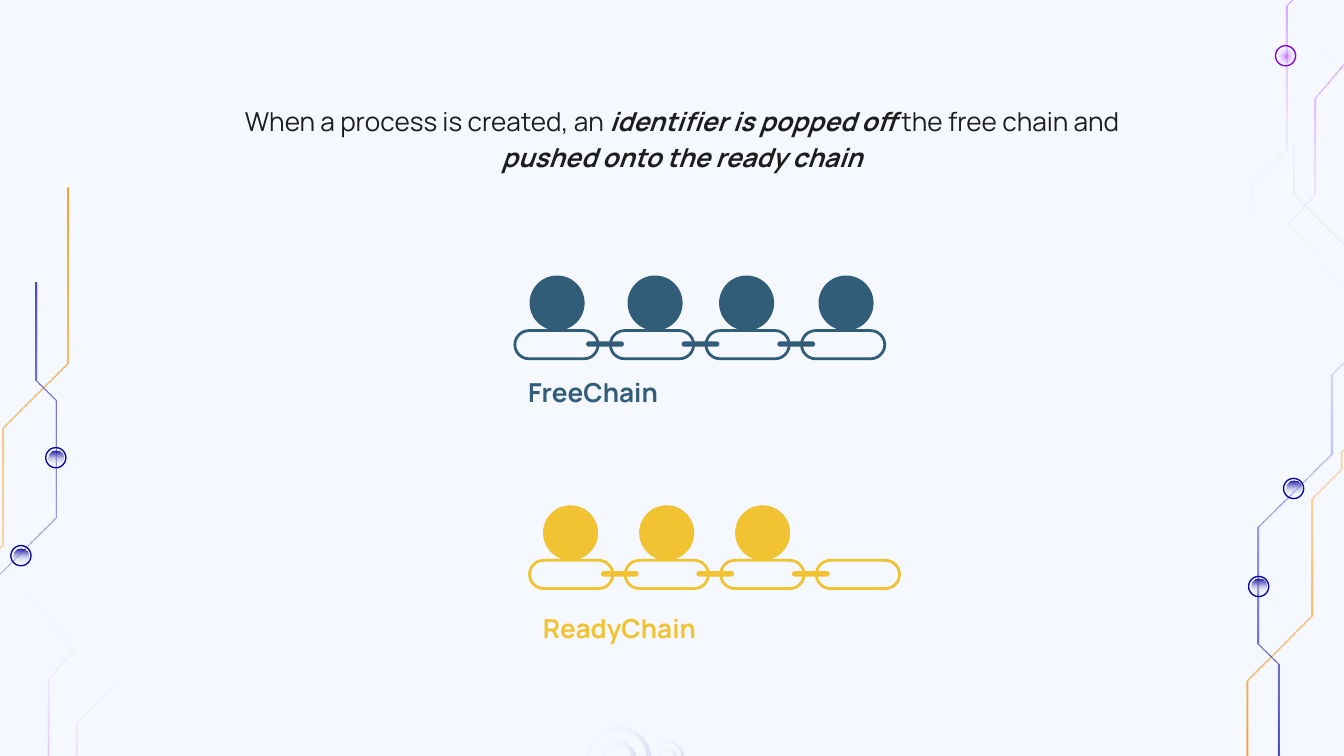
from dataclasses import dataclass
from math import cos, radians, sin

from lxml import etree
from pptx import Presentation
from pptx.dml.color import RGBColor
from pptx.enum.shapes import MSO_SHAPE
from pptx.enum.text import MSO_ANCHOR, MSO_AUTO_SIZE, PP_ALIGN
from pptx.oxml.ns import qn
from pptx.util import Pt

OVAL, PILL, DONUT = MSO_SHAPE.OVAL, MSO_SHAPE.ROUNDED_RECTANGLE, MSO_SHAPE.DONUT
TOP, FIXED_SIZE = MSO_ANCHOR.TOP, MSO_AUTO_SIZE.NONE
LEFT, CENTER = PP_ALIGN.LEFT, PP_ALIGN.CENTER

COLORS = {
    "background": "F5F8FF", "text": "1D1D1D", "free": "325D79", "ready": "F1C232",
    "blue": "0C0A9E", "purple": "9900FF", "violet": "8208D5",
    "amber": "EB9109", "orange": "FF9900", "white": "FFFFFF",
}
FONT = "Manrope"
BALL = 29.5
LINK_WIDTH, LINK_HEIGHT, LINK_STEP, LINK_COUNT = 44.6, 15.1, 51.2, 4
NODE = 10.8


@dataclass
class Gradient:
    stops: list[tuple[int, str, int]]
    angle: int | None


@dataclass
class Trace:
    points: list[tuple[float, float]]
    rotation: int
    gradient: Gradient
    mirror: tuple[float, float]


@dataclass
class Ring:
    center_x: float
    size: float
    thickness: float


@dataclass
class Chain:
    name: str
    color: str
    left: float
    top: float
    balls: list[float]
    label_top: float
    label_width: float


AMBER_FADE = Gradient([(0, "amber", 100), (40, "orange", 41), (100, "white", 0)], 45)
BLUE_FADE = Gradient([(0, "blue", 100), (100, "white", 0)], 90)
PURPLE_FADE = Gradient([(0, "purple", 47), (100, "white", 0)], 90)
PURPLE_GLOW = Gradient(PURPLE_FADE.stops, None)
RING_FADE = Gradient([(0, "blue", 20), (100, "white", 0)], 225)

CIRCUIT_MIRROR, PURPLE_MIRROR = (704.2, 559.4), (730, 467.3)
TRACES = [
    Trace([(35.6, 100.8), (35.6, 195), (0.9, 229.7), (0.9, 292.3), (-15, 308.2),
           (-15, 317.5), (-23.6, 326.2), (-23.6, 365), (-40.8, 382.3), (-40.8, 407.5),
           (-53.8, 420.5), (-53.8, 483.8), (-5.6, 532.1), (-5.6, 586.8)],
          45, AMBER_FADE, CIRCUIT_MIRROR),
    Trace([(18.7, 151.2), (18.7, 203.8), (29.5, 214.6), (29.5, 277.2), (-9.4, 316.1),
           (-9.4, 358.6), (-26.6, 375.8), (-26.6, 417.6), (10.8, 455.4), (10.8, 483.1)],
          45, BLUE_FADE, CIRCUIT_MIRROR),
    Trace([(14.4, 489.9), (40.3, 464), (40.3, 387.4), (59, 368.6), (59, 334.8)],
          180, PURPLE_FADE, PURPLE_MIRROR),
    Trace([(-14.4, 461.2), (25.2, 414.7), (25.2, 363.6), (39, 347.8), (10.8, 314.6),
           (10.8, 297.4)], 180, PURPLE_FADE, PURPLE_MIRROR),
]
NODES = [(24.5, 239.8), (5.8, 292.3)]
RINGS = [Ring(331.2, 34.6, 2.4), Ring(331.2, 18.7, 2.5),
         Ring(357.3, 18, 1.3), Ring(357.1, 10.1, 1.3)]
CHAINS = [
    Chain("FreeChain", "free", 275.8, 177.1, [7.9, 60.4, 109.4, 162.7], 192.2, 92.9),
    Chain("ReadyChain", "ready", 283.7, 300.2, [7.2, 58.7, 110.1], 318.2, 116.6),
]
HEADING = [("When a process is created, an ", False), ("identifier is popped off ", True),
           ("the free chain and ", False), ("pushed onto the ready chain", True)]


def rgb(name: str) -> RGBColor:
    return RGBColor.from_string(COLORS[name])


def paint_gradient(shape, gradient: Gradient) -> None:
    shape.fill.background()
    empty = shape._element.spPr.find(qn("a:noFill"))
    fill = etree.Element(qn("a:gradFill"), rotWithShape="1")
    stops = etree.SubElement(fill, qn("a:gsLst"))
    for position, name, opacity in gradient.stops:
        stop = etree.SubElement(stops, qn("a:gs"), pos=str(position * 1000))
        color = etree.SubElement(stop, qn("a:srgbClr"), val=COLORS[name])
        etree.SubElement(color, qn("a:alpha"), val=str(opacity * 1000))
    if gradient.angle is None:
        circle = etree.SubElement(fill, qn("a:path"), path="circle")
        sides = dict.fromkeys("ltrb", "50000")
        etree.SubElement(circle, qn("a:fillToRect"), **sides)
    else:
        etree.SubElement(fill, qn("a:lin"), ang=str(gradient.angle * 60000), scaled="0")
    empty.getparent().replace(empty, fill)


def add_shape(slide, kind, left: float, top: float, width: float, height: float,
              fill: str | Gradient | None = None, line: str | None = None,
              weight: float = 1.5):
    shape = slide.shapes.add_shape(kind, Pt(left), Pt(top), Pt(width), Pt(height))
    shape.shadow.inherit = False
    if isinstance(fill, Gradient):
        paint_gradient(shape, fill)
    elif fill:
        shape.fill.solid()
        shape.fill.fore_color.rgb = rgb(fill)
    else:
        shape.fill.background()
    if line:
        shape.line.color.rgb = rgb(line)
        shape.line.width = Pt(weight)
    else:
        shape.line.fill.background()
    return shape


def turn(x: float, y: float, degrees: float) -> tuple[float, float]:
    angle = radians(degrees)
    return x * cos(angle) - y * sin(angle), x * sin(angle) + y * cos(angle)


def draw_trace(slide, trace: Trace, mirrored: bool) -> None:
    ribbon = trace.points + [(x + 1, y) for x, y in reversed(trace.points)]
    rotation = trace.rotation
    if mirrored:
        ribbon = [(trace.mirror[0] - x, trace.mirror[1] - y) for x, y in ribbon]
        rotation = (rotation + 180) % 360
    upright = [turn(x, y, -rotation) for x, y in ribbon]
    corners = [(Pt(x), Pt(y)) for x, y in upright]
    builder = slide.shapes.build_freeform(*corners[0])
    builder.add_line_segments(corners[1:])
    shape = builder.convert_to_shape()
    center_x, center_y = turn(shape.left + shape.width / 2,
                              shape.top + shape.height / 2, rotation)
    shape.left = int(center_x - shape.width / 2)
    shape.top = int(center_y - shape.height / 2)
    shape.rotation = rotation
    shape.shadow.inherit = False
    shape.line.fill.background()
    paint_gradient(shape, trace.gradient)


def draw_node(slide, left: float, top: float, line: str, gradient: Gradient) -> None:
    add_shape(slide, OVAL, left, top, NODE, NODE, line=line, weight=0.75)
    add_shape(slide, OVAL, left + 1.4, top + 1.4, NODE - 2.8, NODE - 2.8, gradient)


def draw_ring(slide, ring: Ring) -> None:
    shape = add_shape(slide, DONUT, ring.center_x - ring.size / 2, 406 - ring.size / 2,
                      ring.size, ring.size, RING_FADE)
    shape.adjustments[0] = ring.thickness / ring.size


def write_text(shape, runs: list[tuple[str, dict]], color: str, alignment) -> None:
    frame = shape.text_frame
    margins = {f"margin_{side}": Pt(7.2) for side in ("left", "right", "top", "bottom")}
    settings = {"word_wrap": True, "auto_size": FIXED_SIZE, "vertical_anchor": TOP}
    for name, value in (margins | settings).items():
        setattr(frame, name, value)
    paragraph = frame.paragraphs[0]
    paragraph.alignment = alignment
    paragraph.line_spacing = 1.15
    for text, style in runs:
        run = paragraph.add_run()
        run.text = text
        for name, value in ({"name": FONT, "size": Pt(14)} | style).items():
            setattr(run.font, name, value)
        run.font.color.rgb = rgb(color)


def draw_chain(slide, chain: Chain) -> None:
    for offset in chain.balls:
        add_shape(slide, OVAL, chain.left + offset, chain.top - BALL, BALL, BALL, chain.color)
    lefts = [chain.left + index * LINK_STEP for index in range(LINK_COUNT)]
    pills = [add_shape(slide, PILL, left, chain.top, LINK_WIDTH, LINK_HEIGHT, line=chain.color)
             for left in lefts]
    pills += [add_shape(slide, PILL, left + 38.2, chain.top + 5.8, 20.2, 2.9, chain.color)
              for left in lefts[:-1]]
    for pill in pills:
        pill.adjustments[0] = 0.5
    label = slide.shapes.add_textbox(Pt(chain.left), Pt(chain.label_top),
                                     Pt(chain.label_width), Pt(31.5))
    write_text(label, [(chain.name, {"bold": True})], chain.color, LEFT)


def main() -> None:
    presentation = Presentation()
    presentation.slide_width, presentation.slide_height = Pt(720), Pt(405)
    slide = presentation.slides.add_slide(presentation.slide_layouts[5])
    slide.background.fill.solid()
    slide.background.fill.fore_color.rgb = rgb("background")

    for mirrored in (False, True):
        for trace in TRACES:
            draw_trace(slide, trace, mirrored)
        for left, top in NODES:
            if mirrored:
                left = CIRCUIT_MIRROR[0] - left - NODE
                top = CIRCUIT_MIRROR[1] - top - NODE
            draw_node(slide, left, top, "blue", BLUE_FADE)
    draw_node(slide, 683.3, 24.5, "violet", PURPLE_GLOW)
    for ring in RINGS:
        draw_ring(slide, ring)

    title = slide.shapes.title
    bounds = {"left": 106.6, "top": 46.8, "width": 517.7, "height": 51.8}
    for name, value in bounds.items():
        setattr(title, name, Pt(value))
    runs = [(text, {"bold": strong, "italic": strong}) for text, strong in HEADING]
    write_text(title, runs, "text", CENTER)

    for chain in CHAINS:
        draw_chain(slide, chain)
    presentation.save("out.pptx")


if __name__ == "__main__":
    main()
